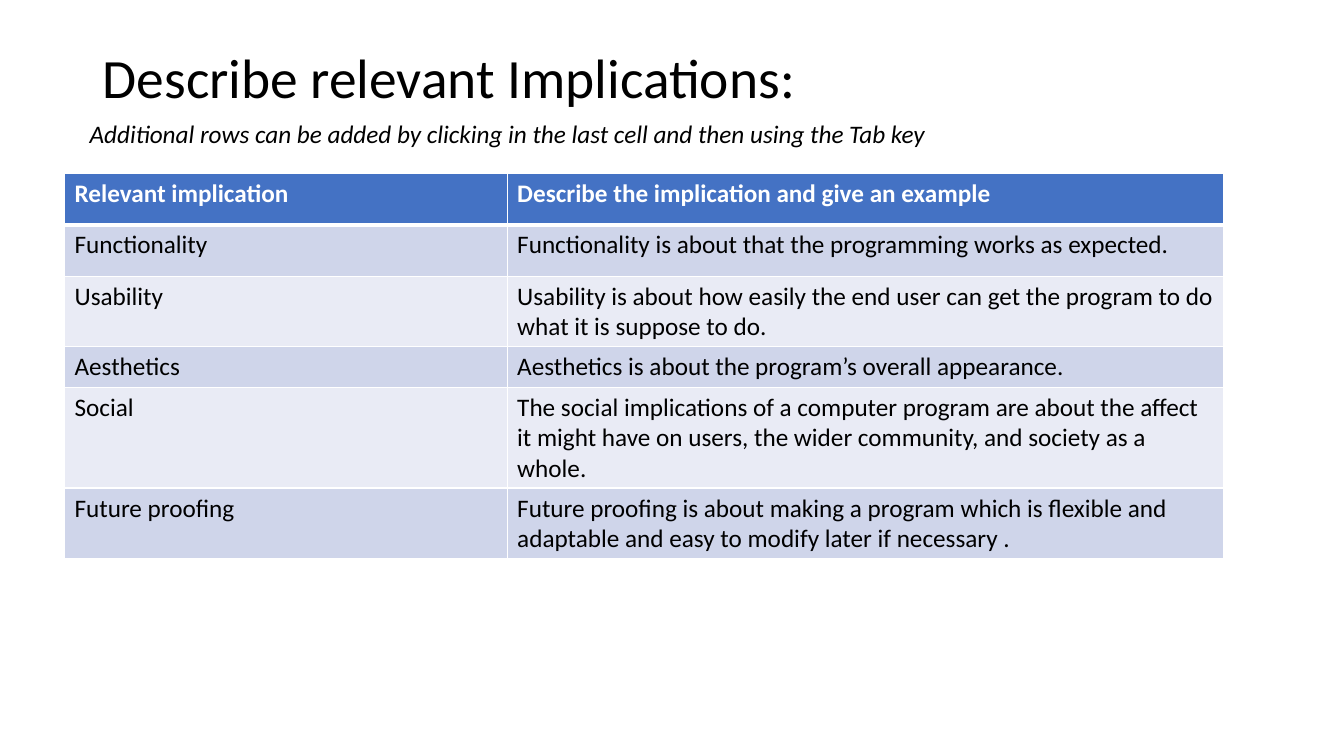
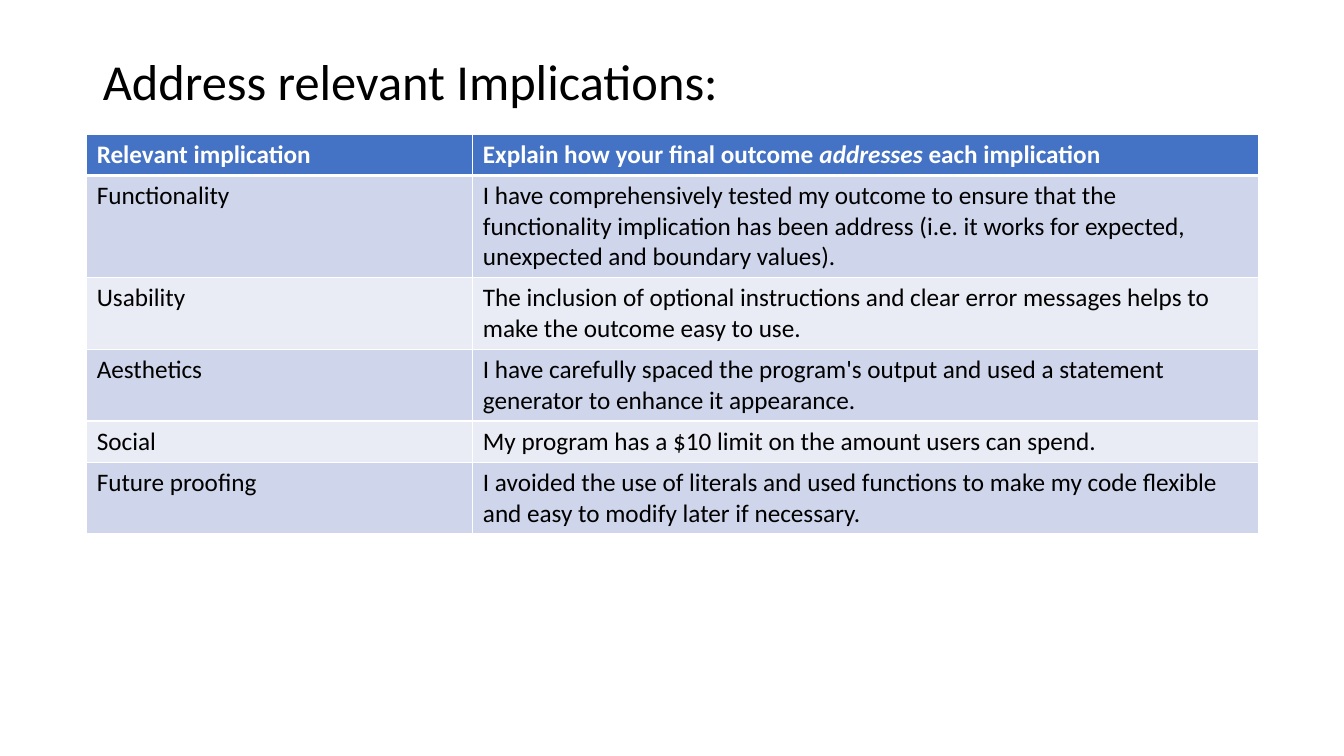
from lxml import etree
from pptx import Presentation
from pptx.dml.color import RGBColor
from pptx.enum.text import MSO_ANCHOR as ANCHOR, MSO_AUTO_SIZE as AUTO, PP_ALIGN as ALIGN
from pptx.oxml.ns import qn
from pptx.util import Inches, Pt

FONT = "Calibri"
BLACK, WHITE = "000000", "FFFFFF"
HEADER, BANDS = "4472C4", ("CFD5EA", "E9EBF5")
TITLE_ONLY = 5
TOPICS = ("Functionality", "Usability", "Aesthetics", "Social", "Future proofing")


def rgb(value):
    return RGBColor.from_string(value)


def set_border(cell, side, width, color=WHITE):
    """Draw one side (L, R, T or B) of a cell; call before the cell is filled."""
    tc_pr = cell._tc.get_or_add_tcPr()
    ln = etree.SubElement(tc_pr, qn("a:ln" + side), w=str(Pt(width)))
    fill = etree.SubElement(ln, qn("a:solidFill"))
    etree.SubElement(fill, qn("a:srgbClr"), val=color)


class Deck:
    def __init__(self):
        self.prs = Presentation()
        self.prs.slide_width, self.prs.slide_height = Inches(13.33), Inches(7.5)
        self.slide = None

    def run(self, p, text, size=18, color=BLACK, bold=False, italic=False):
        r = p.add_run()
        r.text = text
        font = r.font
        font.name, font.size, font.bold, font.italic = FONT, Pt(size), bold, italic
        font.color.rgb = rgb(color)

    def add_slide(self, title, size, height):
        self.slide = self.prs.slides.add_slide(self.prs.slide_layouts[TITLE_ONLY])
        sp = self.slide.shapes.title
        sp.left, sp.top = Inches(0.92), Inches(0.4)
        sp.width, sp.height = Inches(11.5), Inches(height)
        tf = sp.text_frame
        tf.auto_size, tf.vertical_anchor = AUTO.NONE, ANCHOR.MIDDLE
        p = tf.paragraphs[0]
        p.alignment, p.line_spacing = ALIGN.LEFT, 1.15
        self.run(p, title, size)

    def note(self, text, left, top, width, height):
        sp = self.slide.shapes.add_textbox(
            Inches(left), Inches(top), Inches(width), Inches(height))
        sp.text_frame.word_wrap = True
        self.run(sp.text_frame.paragraphs[0], text, italic=True)

    def table(self, left, top, widths, heights, heading, answers):
        """Pair each topic with its answer; heading is a list of (text, italic) runs."""
        rows = [([("Relevant implication", False)], heading)]
        rows += [([(topic, False)], [(answer, False)])
                 for topic, answer in zip(TOPICS, answers)]
        table = self.slide.shapes.add_table(
            len(rows), len(widths), Inches(left), Inches(top),
            Inches(sum(widths)), Inches(sum(heights))).table
        for column, width in zip(table.columns, widths):
            column.width = Inches(width)
        for i, (row, height) in enumerate(zip(rows, heights)):
            table.rows[i].height = Inches(height)
            for j, runs in enumerate(row):
                self.cell(table.cell(i, j), i, runs)

    def cell(self, cell, row, runs):
        is_header = row == 0
        for side in "LRTB":
            under_header = (row, side) in ((0, "B"), (1, "T"))
            set_border(cell, side, 3 if under_header else 1)
        cell.fill.solid()
        cell.fill.fore_color.rgb = rgb(HEADER if is_header else BANDS[(row - 1) % 2])
        p = cell.text_frame.paragraphs[0]
        for text, italic in runs:
            self.run(p, text, color=WHITE if is_header else BLACK,
                     bold=is_header, italic=italic)


def main():
    deck = Deck()

    deck.add_slide("Describe relevant Implications:", 39.6, 0.61)
    deck.note("Additional rows can be added by clicking in the last cell and then "
              "using the Tab key", 0.79, 1.12, 10.94, 0.4)
    deck.table(
        0.64, 1.72, (4.39, 7.11), (0.51, 0.51, 0.7, 0.4, 1, 0.7),
        [("Describe the implication and give an example", False)],
        ("Functionality is about that the programming works as expected.",
         "Usability is about how easily the end user can get the program to do "
         "what it is suppose to do.",
         "Aesthetics is about the program’s overall appearance.",
         "The social implications of a computer program are about the affect it "
         "might have on users, the wider community, and society as a whole.",
         "Future proofing is about making a program which is flexible and "
         "adaptable and easy to modify later if necessary ."))

    deck.add_slide("Address relevant Implications:", 36, 0.7)
    deck.table(
        0.86, 1.33, (3.83, 7.79), (0.41, 1.01, 0.71, 0.71, 0.41, 0.7),
        [("Explain how your final outcome ", False), ("addresses", True),
         (" each implication", False)],
        ("I have comprehensively tested my outcome to ensure that the "
         "functionality implication has been address (i.e. it works for expected, "
         "unexpected and boundary values).",
         "The inclusion of optional instructions and clear error messages helps "
         "to make the outcome easy to use.",
         "I have carefully spaced the program's output and used a statement "
         "generator to enhance it appearance.",
         "My program has a $10 limit on the amount users can spend.",
         "I avoided the use of literals and used functions to make my code "
         "flexible and easy to modify later if necessary."))

    deck.prs.save("out.pptx")


if __name__ == "__main__":
    main()
